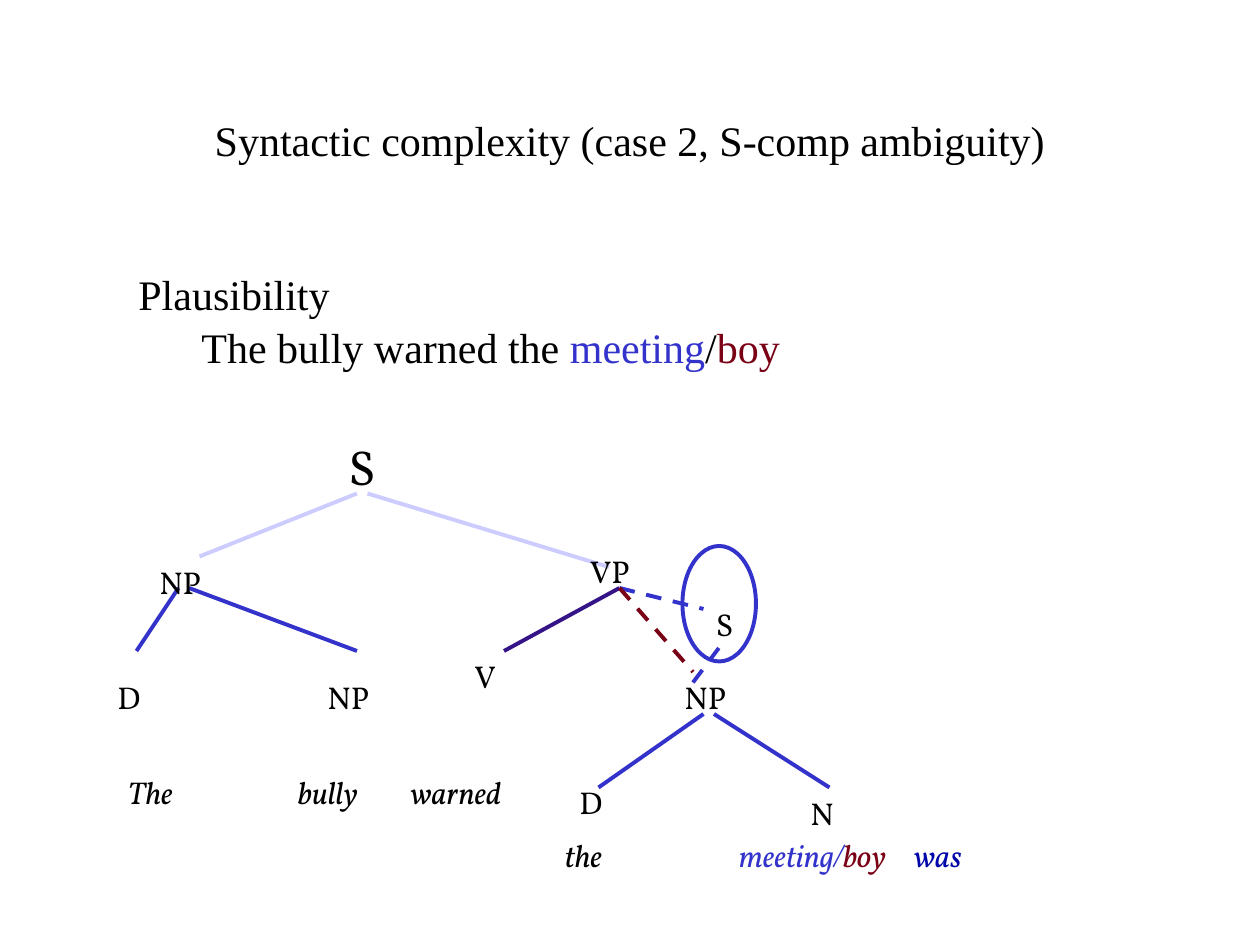
from dataclasses import dataclass

from lxml import etree
from pptx import Presentation
from pptx import util as u
from pptx.dml.color import RGBColor
from pptx.enum import dml, shapes, text
from pptx.oxml.ns import qn

COLUMNS, ROWS = 120, 90
CELL = u.Inches(10) // COLUMNS


@dataclass(frozen=True)
class Theme:
    serif: str = "Times New Roman"
    tree: str = "Vollkorn"
    heading: int = 24
    root: int = 28
    node: int = 18
    edge: float = 2.25
    black: str = "000000"
    blue: str = "3333CC"
    pale: str = "CCCCFF"
    violet: str = "351488"
    red: str = "790015"
    navy: str = "0006A9"


THEME = Theme()

# label, column, row, width
NODES = [
    ("NP", 14, 53, 12), ("D", 10, 64, 10), ("NP", 30, 64, 6.75),
    ("VP", 55, 52, 6.4), ("V", 44, 62, 4.6), ("NP", 64, 64, 6.75),
    ("D", 54, 74, 4.7), ("N", 76, 75, 5), ("S", 67, 57, 4.6),
]

# start, end, colour
EDGES = [
    ((19, 53), (34, 47), THEME.pale), ((35, 47), (58, 54), THEME.pale),
    ((13, 62), (17, 56), THEME.blue), ((18, 56), (34, 62), THEME.blue),
    ((48, 62), (59, 56), THEME.violet),
    ((57, 75), (67, 68), THEME.blue), ((68, 68), (79, 75), THEME.blue),
]
AMBIGUOUS_EDGES = [
    ((59, 56), (67, 58), THEME.blue), ((66, 65), (69, 61), THEME.blue),
    ((59, 56), (66, 64), THEME.red),
]


def grid(*cells):
    return [round(CELL * count) for count in cells]


def add_frame(slide, *box):
    frame = slide.shapes.add_textbox(*grid(*box)).text_frame
    frame.word_wrap = True
    return frame


def write(paragraph, pieces, font, size, italic=False):
    """Fill a paragraph with (wording, colour) pieces in one typeface."""
    paragraph.font.name = font
    paragraph.font.size = u.Pt(size)
    paragraph.font.italic = italic
    for wording, colour in pieces:
        run = paragraph.add_run()
        run.text = wording
        run.font.color.rgb = RGBColor.from_string(colour)


def set_tabs(paragraph, stops):
    tabs = etree.SubElement(paragraph._p.get_or_add_pPr(), qn("a:tabLst"))
    for stop in stops:
        etree.SubElement(tabs, qn("a:tab"), pos=str(u.Inches(stop)), algn="l")


def add_title(slide, wording):
    frame = add_frame(slide, 9, 8, 102, 15)
    frame.vertical_anchor = text.MSO_ANCHOR.MIDDLE
    frame.margin_bottom = u.Inches(0.42)
    title = frame.paragraphs[0]
    title.alignment = text.PP_ALIGN.CENTER
    write(title, [(wording, THEME.black)], THEME.serif, THEME.heading)


def add_example(slide, topic, sentence):
    frame = add_frame(slide, 12, 25, 81, 10.8)
    write(frame.paragraphs[0], [(topic, THEME.black)], THEME.serif, THEME.heading)
    example = frame.add_paragraph()
    example.space_before = u.Pt(1.5)
    example._p.get_or_add_pPr().set("marL", str(u.Inches(0.5)))
    write(example, sentence, THEME.serif, THEME.heading)


def add_node(slide, label, column, row, width, size=THEME.node):
    height = 6.8 if size == THEME.root else 4.8
    frame = add_frame(slide, column, row, width, height)
    write(frame.paragraphs[0], [(label, THEME.black)], THEME.tree, size)


def add_words(slide, box, pieces, stops):
    """Set a line of leaf words, spread by tab stops in inches."""
    words = add_frame(slide, *box).paragraphs[0]
    set_tabs(words, stops)
    write(words, pieces, THEME.tree, THEME.node, italic=True)


def set_stroke(line, colour):
    line.color.rgb = RGBColor.from_string(colour)
    line.width = u.Pt(THEME.edge)


def add_edge(slide, start, end, colour, dashed=False):
    edge = slide.shapes.add_connector(
        shapes.MSO_CONNECTOR.STRAIGHT, *grid(*start, *end))
    set_stroke(edge.line, colour)
    if dashed:
        edge.line.dash_style = dml.MSO_LINE.DASH
    etree.SubElement(edge._element.spPr, qn("a:effectLst"))


def add_ring(slide, *box):
    ring = slide.shapes.add_shape(shapes.MSO_SHAPE.OVAL, *grid(*box))
    ring.shadow.inherit = False
    ring.fill.background()
    set_stroke(ring.line, THEME.blue)


def main():
    deck = Presentation()
    deck.slide_width, deck.slide_height = grid(COLUMNS, ROWS)
    slide = deck.slides.add_slide(deck.slide_layouts[6])

    add_title(slide, "Syntactic complexity (case 2, S-comp ambiguity)")
    add_example(slide, "Plausibility", [
        ("The bully warned the ", THEME.black), ("meeting", THEME.blue),
        ("/", THEME.black), ("boy", THEME.red)])

    for edge in EDGES:
        add_edge(slide, *edge)
    add_node(slide, "S", 32, 41, 6, THEME.root)
    for node in NODES:
        add_node(slide, *node)

    add_words(slide, (11, 73, 97, 4.8),
              [("The\tbully\twarned", THEME.black)], (1.35, 2.24))
    add_words(slide, (52, 79, 54, 10.3), [
        ("\tthe\t", THEME.black), ("meeting/", THEME.blue),
        ("boy\t", THEME.red), ("was", THEME.navy)], (0.05, 1.43, 2.82))

    for edge in AMBIGUOUS_EDGES:
        add_edge(slide, *edge, dashed=True)
    add_ring(slide, 65, 52, 7, 11)
    deck.save("out.pptx")


if __name__ == "__main__":
    main()
